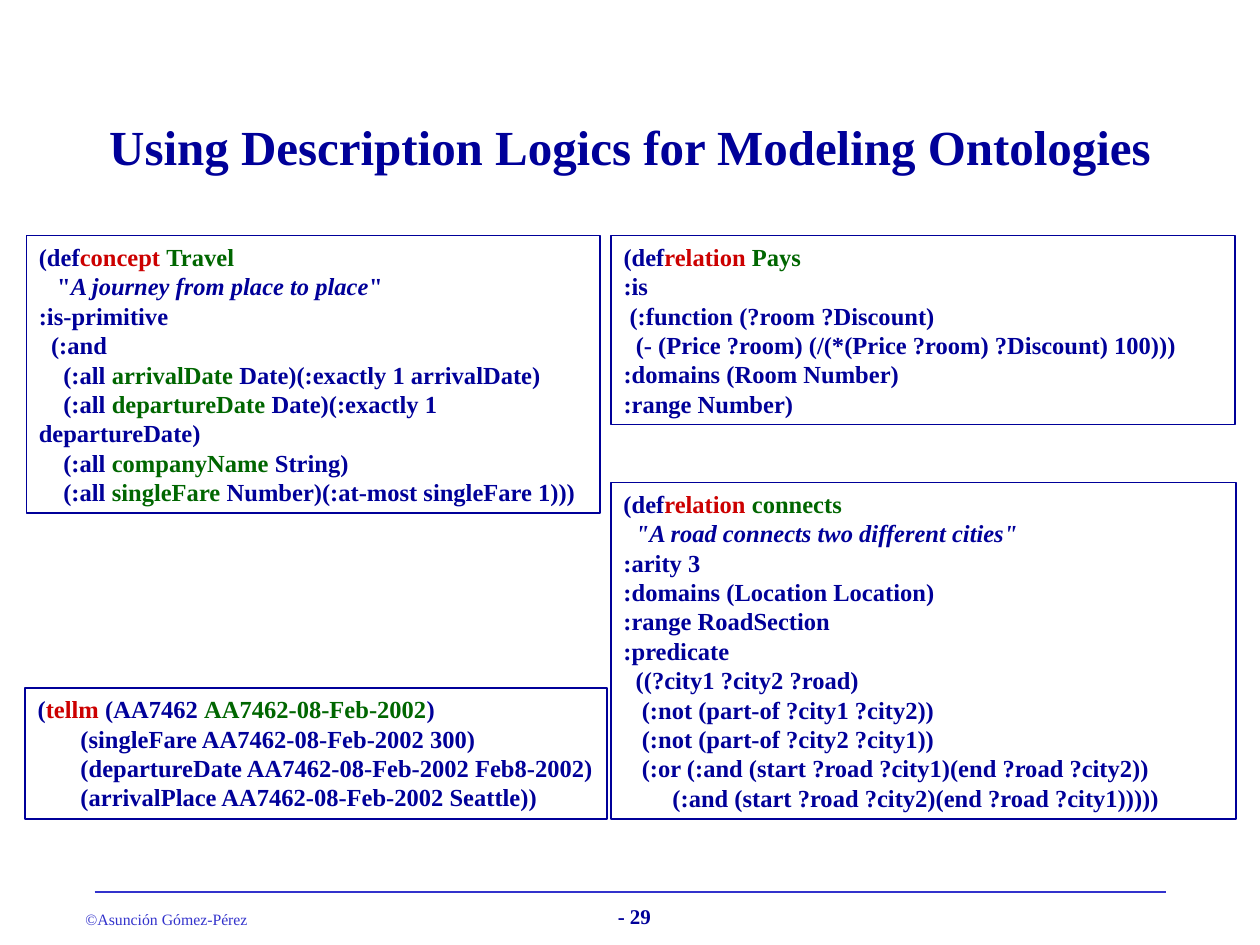
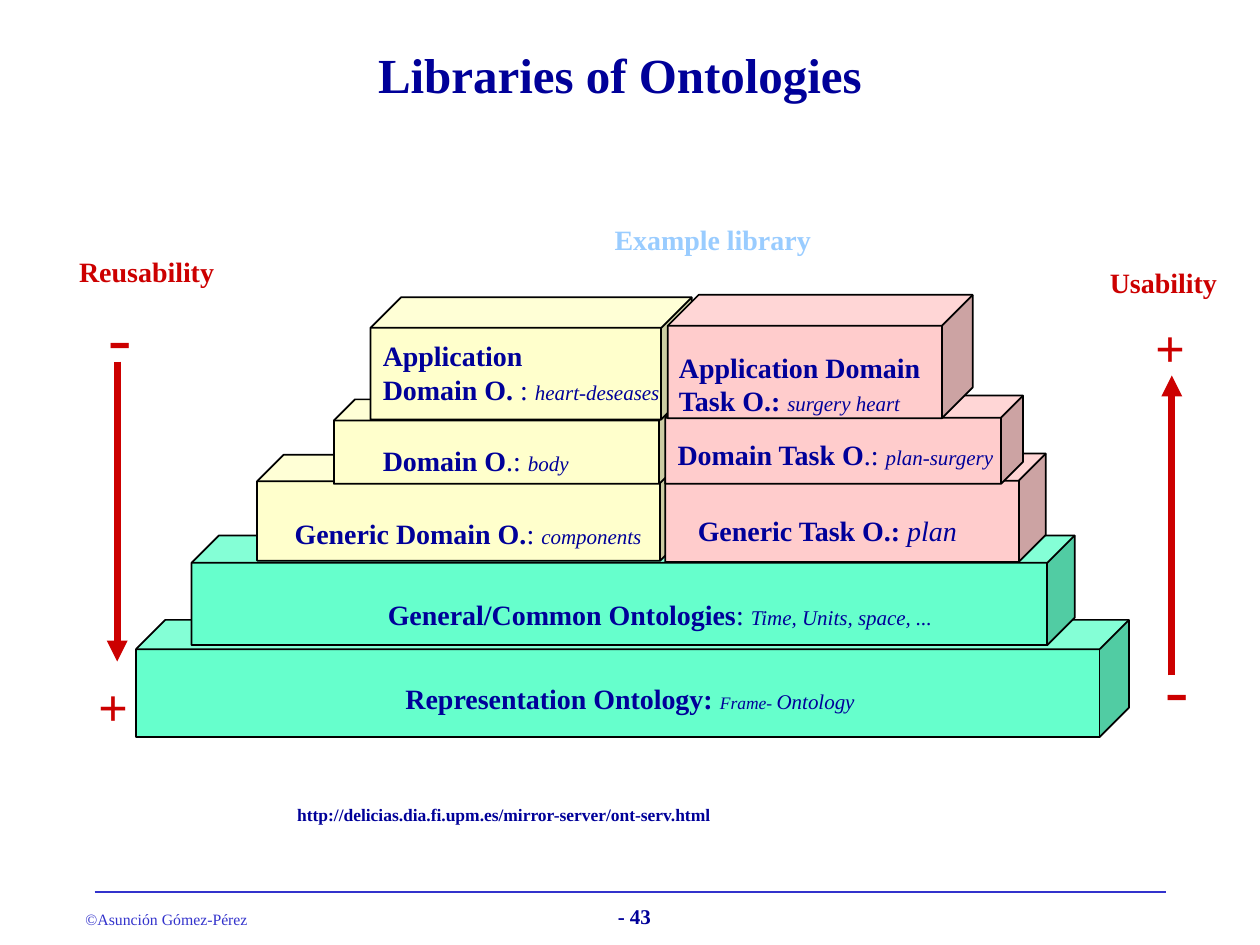
from dataclasses import dataclass
from typing import Any

from lxml import etree
from pptx import Presentation
from pptx.dml.color import RGBColor
from pptx.enum.shapes import MSO_CONNECTOR, MSO_SHAPE
from pptx.enum.text import MSO_ANCHOR, MSO_AUTO_SIZE, PP_ALIGN
from pptx.oxml.ns import qn
from pptx.util import Inches, Pt

LEFT, CENTER = PP_ALIGN.LEFT, PP_ALIGN.CENTER
TOP, MIDDLE = MSO_ANCHOR.TOP, MSO_ANCHOR.MIDDLE
FIT, FIXED = MSO_AUTO_SIZE.SHAPE_TO_FIT_TEXT, MSO_AUTO_SIZE.NONE
RECTANGLE, CUBE = MSO_SHAPE.RECTANGLE, MSO_SHAPE.CUBE
STRAIGHT = MSO_CONNECTOR.STRAIGHT

FONT = "Times New Roman"
SPACE_WIDTH = 0.25
CODE_SIZE = 14

COLORS = {
    "navy": "000099",
    "blue": "3333CC",
    "red": "CC0000",
    "green": "006600",
    "sky": "99CCFF",
    "black": "000000",
    "mint": "66FFCC",
    "cream": "FFFFCC",
    "pink": "FFCCCC",
}

STYLES: dict[str, tuple[str, dict[str, Any]]] = {
    "title": ("navy", {"size": Pt(28), "bold": True}),
    "author": ("blue", {"size": Pt(9)}),
    "page": ("navy", {"size": Pt(12), "bold": True}),
    "code": ("navy", {"size": Pt(CODE_SIZE), "bold": True}),
    "keyword": ("red", {"size": Pt(CODE_SIZE), "bold": True}),
    "name": ("green", {"size": Pt(CODE_SIZE), "bold": True}),
    "quote": ("navy", {"size": Pt(CODE_SIZE), "bold": True, "italic": True}),
    "layer": ("navy", {"size": Pt(16), "bold": True}),
    "colon": ("navy", {"size": Pt(16)}),
    "large example": ("navy", {"size": Pt(16), "italic": True}),
    "example": ("navy", {"size": Pt(12), "italic": True}),
    "small example": ("navy", {"size": Pt(10), "italic": True}),
    "axis": ("red", {"size": Pt(16), "bold": True}),
    "plus": ("red", {"size": Pt(30), "bold": True}),
    "minus": ("red", {"size": Pt(40), "italic": True}),
    "caption": ("sky", {"size": Pt(16), "bold": True}),
    "address": ("navy", {"size": Pt(10), "bold": True}),
}

Box = tuple[float, float, float, float]
Point = tuple[float, float]
Run = tuple[str, str]


@dataclass
class Line:
    runs: list[Run]
    indent: int = 0


@dataclass
class Panel:
    box: Box
    lines: list[Line]
    wrap: bool = True


@dataclass
class Layer:
    box: Box
    fill: str
    label_box: Box
    lines: list[Line]


@dataclass
class Axis:
    start: Point
    end: Point
    minus_box: Box
    plus_box: Box
    name_box: Box
    name: str


def code(text: str, indent: int = 0) -> Line:
    return Line([("code", text)], indent)


def definition(kind: str, name: str) -> Line:
    return Line([("code", "(def"), ("keyword", kind + " "), ("name", name)])


def restriction(role: str, rest: str) -> Line:
    return Line([("code", "(:all "), ("name", role), ("code", rest)], 4)


PANELS = [
    Panel((0.21, 1.87, 4.55, 2.2), [
        definition("concept", "Travel"),
        Line([("code", '"'), ("quote", "A journey from place to place"), ("code", '"')], 3),
        code(":is-primitive"),
        code("(:and", 2),
        restriction("arrivalDate", " Date)(:exactly 1 arrivalDate)"),
        restriction("departureDate", " Date)(:exactly 1 departureDate)"),
        restriction("companyName", " String)"),
        restriction("singleFare", " Number)(:at-most singleFare 1)))"),
    ]),
    Panel((4.85, 1.87, 4.95, 1.5), [
        definition("relation", "Pays"),
        code(":is"),
        code("(:function (?room ?Discount)", 1),
        code("(- (Price ?room) (/(*(Price ?room) ?Discount) 100)))", 2),
        code(":domains (Room Number)"),
        code(":range Number)"),
    ]),
    Panel((4.85, 3.83, 4.96, 2.67), [
        definition("relation", "connects"),
        Line([("quote", '"A road connects two different cities"')], 2),
        code(":arity 3"),
        code(":domains (Location Location)"),
        code(":range RoadSection"),
        code(":predicate"),
        code("((?city1 ?city2 ?road)", 2),
        code("(:not (part-of ?city1 ?city2))", 3),
        code("(:not (part-of ?city2 ?city1))", 3),
        code("(:or (:and (start ?road ?city1)(end ?road ?city2))", 3),
        code("(:and (start ?road ?city2)(end ?road ?city1)))))", 8),
    ]),
    Panel((0.2, 5.46, 4.62, 1.04), [
        Line([("code", "("), ("keyword", "tellm"), ("code", " (AA7462 "),
              ("name", "AA7462-08-Feb-2002"), ("code", ")")]),
        code("(singleFare AA7462-08-Feb-2002 300)", 7),
        code("(departureDate AA7462-08-Feb-2002 Feb8-2002)", 7),
        code("(arrivalPlace AA7462-08-Feb-2002 Seattle))", 7),
    ], wrap=False),
]

LAYERS = [
    Layer((1.08, 4.92, 7.88, 0.93), "mint", (3.12, 5.36, 3.77, 0.37),
          [Line([("layer", "Representation Ontology: "), ("small example", "Frame- "),
                 ("example", "Ontology")])]),
    Layer((1.52, 4.25, 7.01, 0.87), "mint", (2.98, 4.69, 4.53, 0.37),
          [Line([("layer", "General/Common Ontologies"), ("colon", ": "),
                 ("example", "Time, Units, space, ...")])]),
    Layer((2.04, 3.61, 3.41, 0.84), "cream", (2.24, 4.05, 2.96, 0.37),
          [Line([("layer", "Generic Domain O."), ("colon", ": "), ("example", "components")])]),
    Layer((2.65, 3.17, 2.75, 0.67), "cream", (2.94, 3.47, 1.68, 0.37),
          [Line([("layer", "Domain O"), ("colon", ".: "), ("example", "body")])]),
    Layer((5.28, 3.6, 3.02, 0.86), "pink", (5.44, 4.03, 2.34, 0.37),
          [Line([("layer", "Generic Task O.:"), ("large example", " plan")])]),
    Layer((5.28, 3.14, 2.84, 0.7), "pink", (5.28, 3.42, 2.74, 0.37),
          [Line([("layer", "Domain Task O"), ("colon", ".: "), ("example", "plan-surgery")])]),
    Layer((2.94, 2.36, 2.55, 0.97), "cream", (2.94, 2.64, 2.4, 0.63),
          [Line([("layer", "Application")]),
           Line([("layer", "Domain O."), ("colon", " : "), ("example", "heart-deseases")])]),
    Layer((5.3, 2.34, 2.42, 0.98), "pink", (5.29, 2.73, 2.12, 0.63),
          [Line([("layer", "Application Domain")]),
           Line([("layer", "Task O.: "), ("example", "surgery heart")])]),
]

AXES = [
    Axis((0.93, 2.87), (0.93, 5.25), (0.76, 2.27, 0.39, 0.77), (0.68, 5.3, 0.44, 0.6),
         (0.53, 1.97, 1.27, 0.37), "Reusability"),
    Axis((9.3, 5.36), (9.3, 2.98), (9.15, 5.07, 0.39, 0.77), (9.07, 2.45, 0.44, 0.6),
         (8.71, 2.06, 1.05, 0.37), "Usability"),
]


def rgb(color: str) -> RGBColor:
    return RGBColor.from_string(COLORS[color])


def write(shape: Any, lines: list[Line], wrap: bool = False, align: Any = LEFT,
          anchor: Any = TOP, fit: Any = FIT) -> None:
    frame = shape.text_frame
    for attribute, value in {"word_wrap": wrap, "auto_size": fit,
                             "vertical_anchor": anchor}.items():
        setattr(frame, attribute, value)
    for index, line in enumerate(lines):
        paragraph = frame.paragraphs[0] if index == 0 else frame.add_paragraph()
        paragraph.alignment = align
        if line.indent:
            properties = paragraph._p.get_or_add_pPr()
            properties.set("marL", "0")
            properties.set("indent", str(int(Pt(line.indent * SPACE_WIDTH * CODE_SIZE))))
        for style, text in line.runs:
            color, formats = STYLES[style]
            run = paragraph.add_run()
            run.text = text
            run.font.name = FONT
            run.font.color.rgb = rgb(color)
            for attribute, value in formats.items():
                setattr(run.font, attribute, value)


def add_text(slide: Any, box: Box, lines: list[Line], **layout: Any) -> None:
    write(slide.shapes.add_textbox(*map(Inches, box)), lines, **layout)


def add_label(slide: Any, box: Box, style: str, text: str, **layout: Any) -> None:
    add_text(slide, box, [Line([(style, text)])], **layout)


def add_outlined(slide: Any, kind: Any, box: Box, line: str) -> Any:
    shape = slide.shapes.add_shape(kind, *map(Inches, box))
    shape.shadow.inherit = False
    shape.line.color.rgb = rgb(line)
    shape.line.width = Pt(1)
    return shape


def add_line(slide: Any, start: Point, end: Point, color: str, width: float,
             arrow: bool = False) -> None:
    connector = slide.shapes.add_connector(STRAIGHT, *map(Inches, start + end))
    connector.line.color.rgb = rgb(color)
    connector.line.width = Pt(width)
    properties = connector._element.spPr
    if arrow:
        etree.SubElement(properties.find(qn("a:ln")), qn("a:tailEnd"), type="triangle")
    etree.SubElement(properties, qn("a:effectLst"))


def add_panel(slide: Any, panel: Panel) -> None:
    shape = add_outlined(slide, RECTANGLE, panel.box, "navy")
    shape.fill.background()
    write(shape, panel.lines, panel.wrap)


def add_layer(slide: Any, layer: Layer) -> None:
    block = add_outlined(slide, CUBE, layer.box, "black")
    block.fill.solid()
    block.fill.fore_color.rgb = rgb(layer.fill)
    add_text(slide, layer.label_box, layer.lines)


def add_axis(slide: Any, axis: Axis) -> None:
    add_line(slide, axis.start, axis.end, "red", 4, arrow=True)
    add_label(slide, axis.minus_box, "minus", "-")
    add_label(slide, axis.plus_box, "plus", "+")
    add_label(slide, axis.name_box, "axis", axis.name)


def add_page(deck: Any, title: str, title_box: Box, number: int) -> Any:
    slide = deck.slides.add_slide(deck.slide_layouts[6])
    add_line(slide, (0.75, 7.08), (9.25, 7.08), "blue", 1)
    add_label(slide, (0.58, 7.17, 1.49, 0.25), "author", "©Asunción Gómez-Pérez")
    add_label(slide, (3.98, 7.12, 2.11, 0.3), "page", f"- {number}", align=CENTER)
    add_label(slide, title_box, "title", title, wrap=True, align=CENTER,
              anchor=MIDDLE, fit=FIXED)
    return slide


def main() -> None:
    deck = Presentation()
    deck.slide_width, deck.slide_height = Inches(10), Inches(7.5)

    logics = add_page(deck, "Using Description Logics for Modeling Ontologies",
                      (0.75, 0.53, 8.5, 1.25), 29)
    for panel in PANELS:
        add_panel(logics, panel)

    libraries = add_page(deck, "Libraries of Ontologies", (0.67, 0.17, 8.5, 0.83), 43)
    for layer in LAYERS:
        add_layer(libraries, layer)
    for axis in AXES:
        add_axis(libraries, axis)
    add_label(libraries, (4.78, 1.72, 1.76, 0.37), "caption", "Example library")
    add_label(libraries, (2.26, 6.33, 3.49, 0.27), "address",
              "http://delicias.dia.fi.upm.es/mirror-server/ont-serv.html")

    deck.save("out.pptx")


if __name__ == "__main__":
    main()
